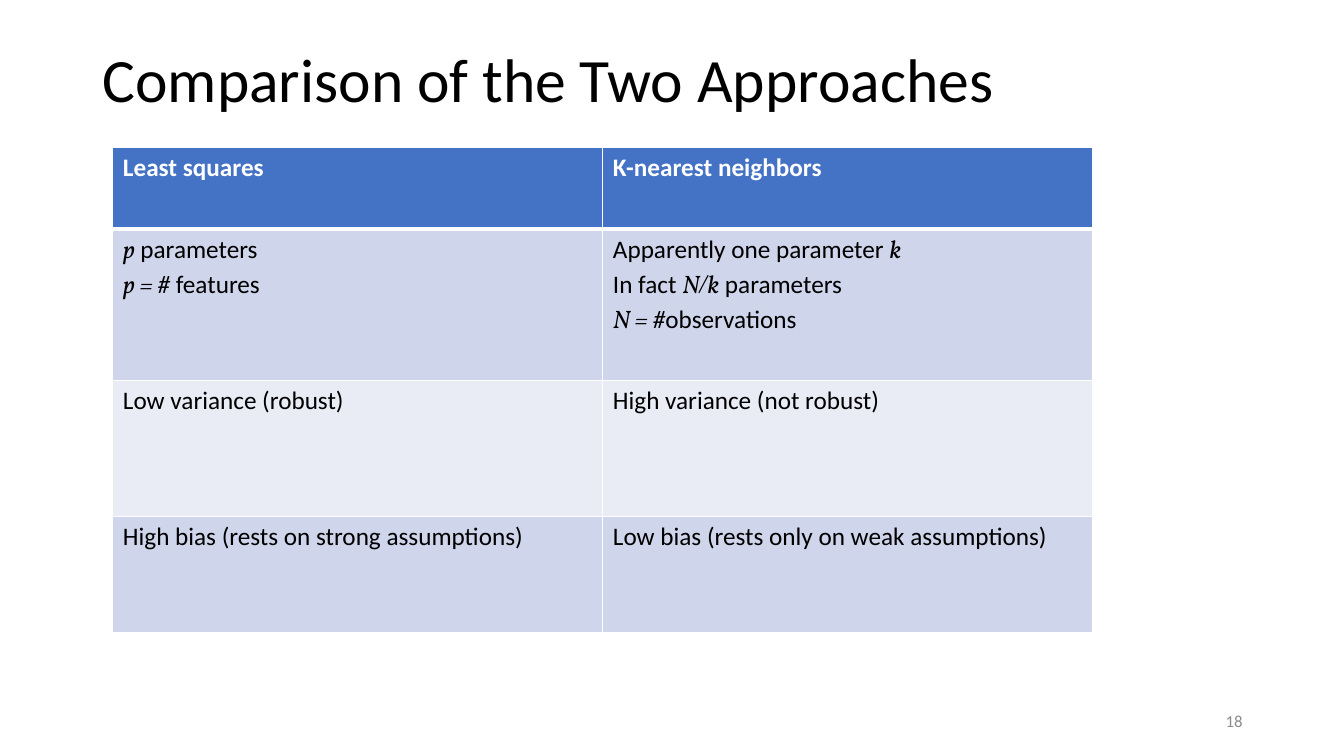
from dataclasses import dataclass

from lxml.etree import SubElement
from pptx import Presentation
from pptx.dml.color import RGBColor
from pptx.enum.text import MSO_ANCHOR, PP_ALIGN
from pptx.oxml.ns import qn
from pptx.util import Inches, Pt


@dataclass(frozen=True)
class Theme:
    """Colours, fonts and type sizes of the slide."""
    text_font: str = "Calibri"
    math_font: str = "Vollkorn"
    ink: str = "000000"
    muted: str = "8C8C8C"
    white: str = "FFFFFF"
    header: str = "4472C4"
    bands: tuple = ("CFD5EA", "E9EBF5")
    title_size: int = 44
    body_size: int = 18
    number_size: int = 12
    rule: int = 1
    header_rule: int = 3


THEME = Theme()
WIDTH, HEIGHT = Inches(13.33), Inches(7.5)
ROW_HEIGHTS = (0.81, 1.5, 1.35, 1.15)
COLUMN_WIDTH = 4.86

TEXT = (THEME.text_font, False)
MATH = (THEME.math_font, True)
SLANTED = (THEME.text_font, True)

PARAMETERS = [[("p", MATH), (" parameters", TEXT)],
              [("p = ", MATH), ("# ", SLANTED), ("features", TEXT)]]
NEIGHBORS = [[("Apparently one parameter ", TEXT), ("k", MATH)],
             [("In fact ", TEXT), ("N/k", MATH), (" parameters", TEXT)],
             [("N = ", MATH), ("#", SLANTED), ("observations", TEXT)]]


def plain(text):
    """Return a single line in the text font."""
    return [[(text, TEXT)]]


COMPARISON = (
    (plain("Least squares"), plain("K-nearest neighbors")),
    (PARAMETERS, NEIGHBORS),
    (plain("Low variance (robust)"), plain("High variance (not robust)")),
    (plain("High bias (rests on strong assumptions)"),
     plain("Low bias (rests only on weak assumptions)")),
)


def style(paragraph, size, color, bold=False):
    """Set the font shared by all runs of a paragraph."""
    font = paragraph.font
    font.name, font.size, font.bold = THEME.text_font, Pt(size), bold
    font.color.rgb = RGBColor.from_string(color)


def add_label(slide, text, share, size, color, align=PP_ALIGN.LEFT, spacing=1.0):
    """Add one line of text in a box given as shares of the slide."""
    left, top, width, height = share
    label = slide.shapes.add_textbox(int(left * WIDTH), int(top * HEIGHT),
                                     int(width * WIDTH), int(height * HEIGHT))
    frame = label.text_frame
    frame.word_wrap = True
    frame.vertical_anchor = MSO_ANCHOR.MIDDLE
    paragraph = frame.paragraphs[0]
    paragraph.text = text
    paragraph.alignment, paragraph.line_spacing = align, spacing
    style(paragraph, size, color)


def add_borders(cell, top, bottom):
    """Draw white rules on the four sides of a cell."""
    properties = cell._tc.get_or_add_tcPr()
    sides = {"L": THEME.rule, "R": THEME.rule, "T": top, "B": bottom}
    for side, points in sides.items():
        line = SubElement(properties, qn(f"a:ln{side}"), w=str(Pt(points)))
        fill = SubElement(line, qn("a:solidFill"))
        SubElement(fill, qn("a:srgbClr"), val=THEME.white)


def write_lines(cell, lines, color, bold):
    """Write lines of mixed text and formula runs in a cell."""
    paragraph = cell.text_frame.paragraphs[0]
    style(paragraph, THEME.body_size, color, bold)
    for index, line in enumerate(lines):
        if index:
            paragraph.add_line_break()
        for text, (font_name, italic) in line:
            run = paragraph.add_run()
            run.text = text
            run.font.name, run.font.italic = font_name, italic


def add_comparison(slide, rows, left, top):
    """Add the table with its header row and banded body."""
    columns = len(rows[0])
    table = slide.shapes.add_table(
        len(rows), columns, int(left * WIDTH), int(top * HEIGHT),
        Inches(COLUMN_WIDTH * columns), Inches(sum(ROW_HEIGHTS))).table
    table.horz_banding = False
    for column in table.columns:
        column.width = Inches(COLUMN_WIDTH)
    for index, entries in enumerate(rows):
        table.rows[index].height = Inches(ROW_HEIGHTS[index])
        is_header = index == 0
        fill = THEME.header if is_header else THEME.bands[(index - 1) % 2]
        color = THEME.white if is_header else THEME.ink
        above = THEME.header_rule if index == 1 else THEME.rule
        below = THEME.header_rule if is_header else THEME.rule
        for cell, lines in zip(table.rows[index].cells, entries):
            add_borders(cell, above, below)
            cell.fill.solid()
            cell.fill.fore_color.rgb = RGBColor.from_string(fill)
            write_lines(cell, lines, color, is_header)


def main():
    """Build the comparison slide and save it."""
    deck = Presentation()
    deck.slide_width, deck.slide_height = WIDTH, HEIGHT
    slide = deck.slides.add_slide(deck.slide_layouts[6])
    add_label(slide, "18", (0.707, 0.927, 0.225, 0.053),
              THEME.number_size, THEME.muted, PP_ALIGN.RIGHT)
    add_label(slide, "Comparison of the Two Approaches", (0.069, 0.053, 0.863, 0.112),
              THEME.title_size, THEME.ink, spacing=0.9)
    add_comparison(slide, COMPARISON, 0.084, 0.195)
    deck.save("out.pptx")


if __name__ == "__main__":
    main()
